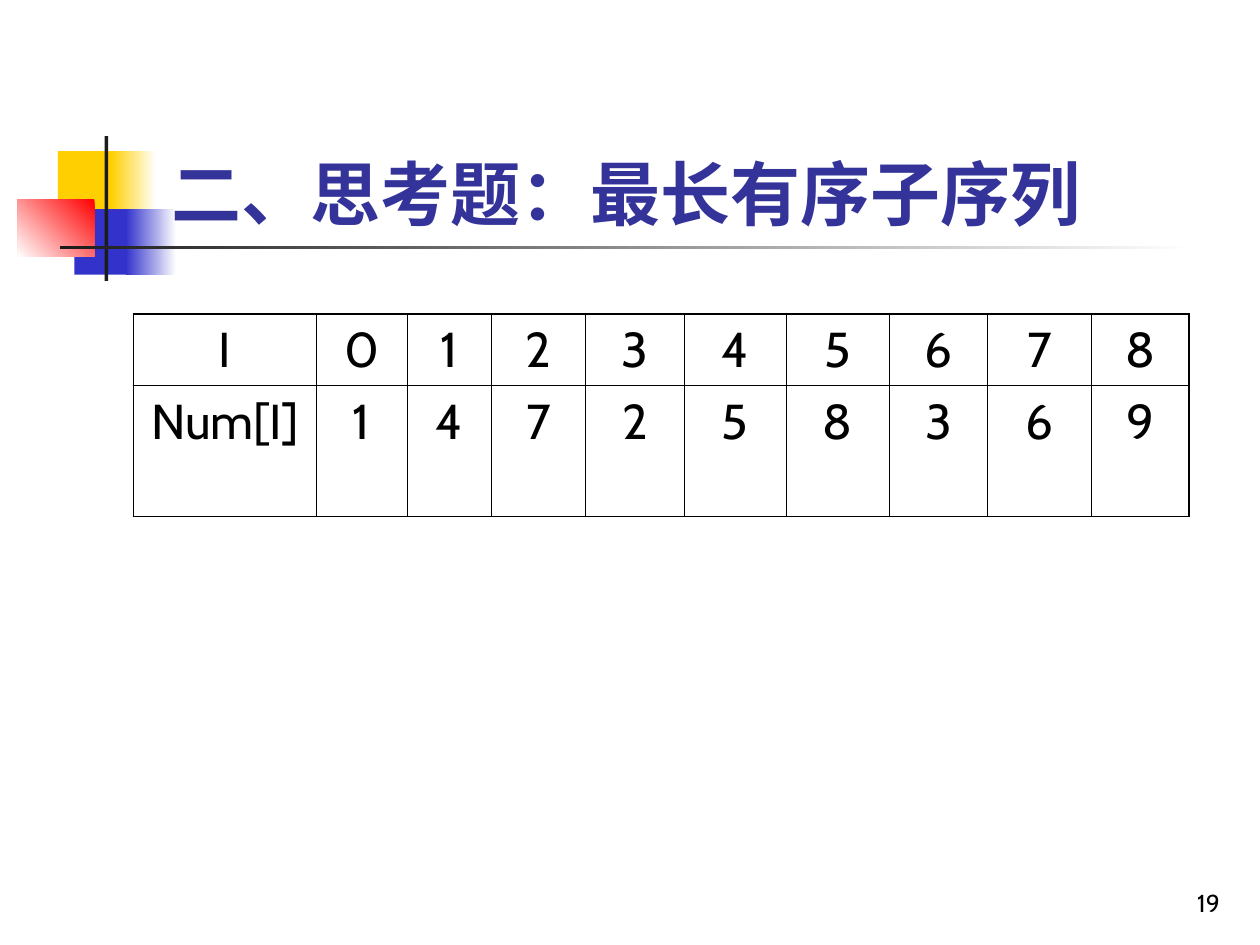
from dataclasses import dataclass

from lxml import etree
from pptx import Presentation
from pptx import util as u
from pptx.dml.color import RGBColor
from pptx.enum import shapes, text
from pptx.oxml.ns import qn


@dataclass(frozen=True)
class Theme:
    font: str = "Cabin"
    white: str = "FFFFFF"
    black: str = "000000"
    ink: str = "1C1C1C"
    yellow: str = "FFCF01"
    blue: str = "3333CC"
    red: str = "FF0000"
    heading: str = "333399"
    heading_size: int = 40
    table_size: int = 28
    number_size: int = 14
    outer_line: float = 1.08
    inner_line: float = 0.45


class SlideBuilder:
    def __init__(self, slide, theme):
        self.slide = slide
        self.theme = theme

    def style(self, paragraph, size, color, align, bold=False):
        paragraph.alignment = align
        for run in paragraph.runs:
            run.font.name = self.theme.font
            run.font.size = u.Pt(size)
            run.font.bold = bold
            run.font.color.rgb = RGBColor.from_string(color)

    def block(self, box, *colors, angle=180):
        """Draw a rectangle, solid for one color and a gradient for two."""
        rect = self.slide.shapes.add_shape(
            shapes.MSO_SHAPE.RECTANGLE, *map(u.Inches, box))
        rect.shadow.inherit = False
        rect.line.fill.background()
        if len(colors) == 1:
            rect.fill.solid()
            rect.fill.fore_color.rgb = RGBColor.from_string(colors[0])
            return
        rect.fill.gradient()
        rect.fill.gradient_angle = angle
        for stop, color in zip(rect.fill.gradient_stops, colors):
            stop.color.rgb = RGBColor.from_string(color)

    def label(self, box, wording, size, color, align, bold=False):
        """Add a line of text that rests on the bottom of its box."""
        frame = self.slide.shapes.add_textbox(*map(u.Inches, box)).text_frame
        frame.word_wrap = True
        frame.vertical_anchor = text.MSO_ANCHOR.BOTTOM
        frame.text = wording
        self.style(frame.paragraphs[0], size, color, align, bold)

    def border(self, cell, widths):
        """Set cell borders from widths in points: left, right, top, bottom."""
        properties = cell._tc.get_or_add_tcPr()
        for index, (side, width) in enumerate(zip("LRTB", widths)):
            line = etree.Element(qn(f"a:ln{side}"), w=str(u.Pt(width)))
            fill = etree.SubElement(line, qn("a:solidFill"))
            etree.SubElement(fill, qn("a:srgbClr"), val=self.theme.black)
            properties.insert(index, line)

    def table(self, left, top, column_widths, row_heights, rows):
        theme = self.theme
        grid = self.slide.shapes.add_table(
            len(rows), len(column_widths), u.Inches(left), u.Inches(top),
            u.Inches(sum(column_widths)), u.Inches(sum(row_heights))).table
        grid.first_row = grid.horz_banding = False
        for column, width in zip(grid.columns, column_widths):
            column.width = u.Inches(width)
        last_row, last_column = len(rows) - 1, len(column_widths) - 1
        for r, (height, values) in enumerate(zip(row_heights, rows)):
            grid.rows[r].height = u.Inches(height)
            for c, value in enumerate(values):
                cell = grid.cell(r, c)
                cell.fill.background()
                cell.text_frame.text = value
                self.style(cell.text_frame.paragraphs[0], theme.table_size,
                           theme.black, text.PP_ALIGN.CENTER)
                on_edge = (c == 0, c == last_column, r == 0, r == last_row)
                self.border(cell, [theme.outer_line if edge else theme.inner_line
                                   for edge in on_edge])


def main():
    deck = Presentation()
    deck.slide_width, deck.slide_height = u.Inches(10), u.Inches(7.5)
    theme = Theme()
    page = SlideBuilder(deck.slides.add_slide(deck.slide_layouts[6]), theme)

    page.block((0.46, 1.2, 0.48, 0.52), theme.yellow)
    page.block((0.88, 1.2, 0.36, 0.52), theme.white, theme.yellow)
    page.block((0.59, 1.66, 0.46, 0.52), theme.blue)
    page.block((1, 1.66, 0.4, 0.52), theme.white, theme.blue)
    page.block((0.14, 1.58, 0.61, 0.46), theme.red, theme.white, angle=225)
    page.block((0.83, 1.08, 0.03, 1.15), theme.ink)
    page.block((0.48, 1.95, 9, 0.03), theme.white, theme.ink)

    page.label((1.26, 0.91, 8.52, 1), "二、思考题：最长有序子序列",
               theme.heading_size, theme.heading, text.PP_ALIGN.LEFT, bold=True)
    page.table(1.06, 2.49,
               [1.45, 0.72, 0.67, 0.75, 0.78, 0.81, 0.82, 0.78, 0.82, 0.78],
               [0.57, 1.04],
               [["I", *"012345678"], ["Num[I]", *"147258369"]])
    page.label((7.7, 6.83, 2.08, 0.5), "19",
               theme.number_size, theme.black, text.PP_ALIGN.RIGHT)

    deck.save("out.pptx")


if __name__ == "__main__":
    main()
